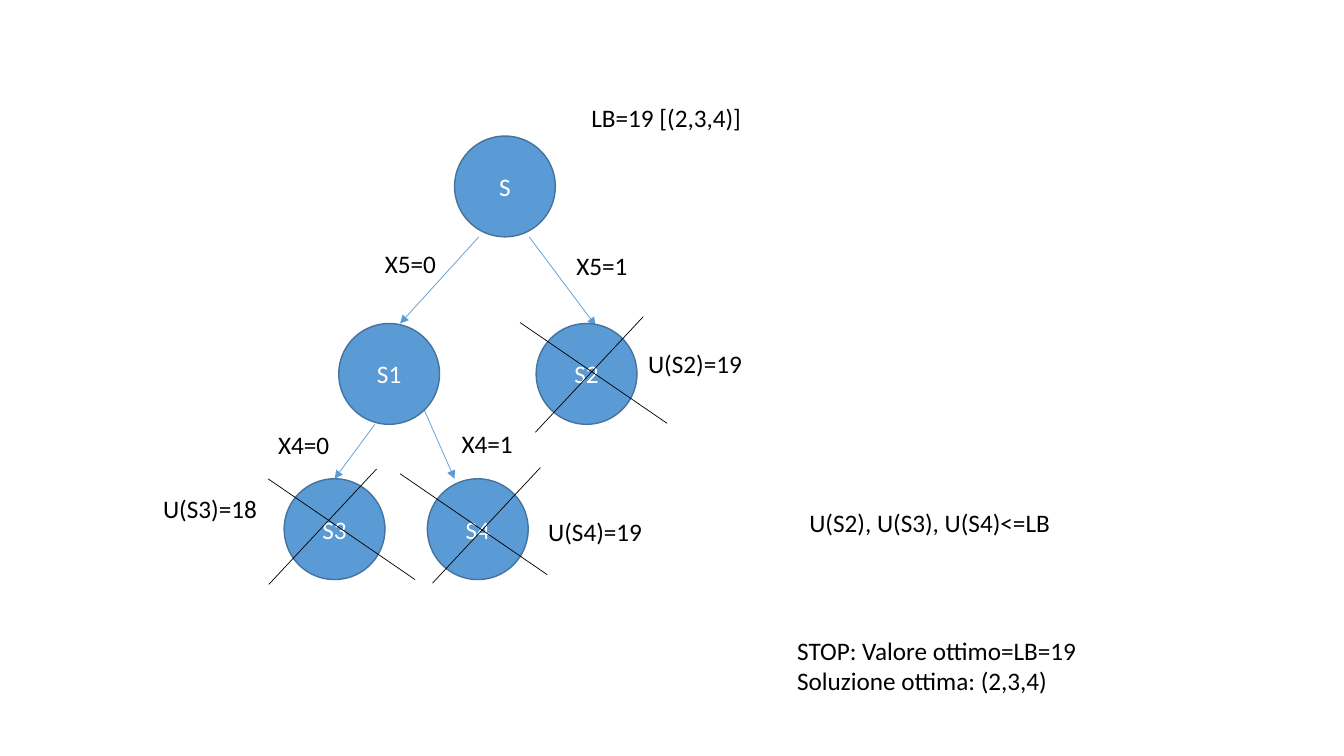
from dataclasses import dataclass

from lxml import etree
from pptx import Presentation
from pptx.dml.color import RGBColor
from pptx.enum import shapes, text
from pptx.oxml import ns
from pptx.util import Pt


@dataclass(frozen=True)
class Theme:
    font: str = "Calibri"
    size: float = 18
    ink: str = "000000"
    node_text: str = "FFFFFF"
    node_fill: str = "5B9BD5"
    node_line: str = "43739E"
    node_width: float = 1
    thin: float = 0.5


THEME = Theme()
NODE_SIZE = 72
LINE_HEIGHT = 22

# Tree nodes: name -> left, top
NODES = {
    "S": (324.7, 97.2),
    "S1": (242, 231.1),
    "S2": (383, 231.1),
    "S3": (203, 342),
    "S4": (305.3, 342),
}

# Branches: start, end
BRANCHES = [
    ((342, 169.2), (285.8, 231.1)),
    ((378, 169.2), (425.5, 232.6)),
    ((267.8, 303.1), (239, 342)),
    ((303.1, 293), (324.7, 342)),
]

# Pruned nodes: start of the falling stroke, start of the rising stroke
CROSSES = [
    ((191.5, 342), (269, 335)),
    ((285.8, 338.4), (386, 334)),
    ((371.5, 230.4), (459.4, 226.3)),
]
FALLING = (105, 72)
RISING = (-77, 82.5)

# Labels: lines, left, top, width
LABELS = [
    ("LB=19 [(2,3,4)]", 415.4, 69.8, 122.4),
    ("X5=0", 267.8, 174.2, 51.8),
    ("X5=1", 404.6, 175.3, 51.8),
    ("X4=0", 191.5, 303.1, 51.8),
    ("X4=1", 322.6, 302.4, 51.8),
    ("U(S2)=19", 455.8, 245.5, 82),
    ("U(S3)=18", 109.4, 348.5, 82),
    ("U(S4)=19", 384.5, 365.4, 82),
    ("U(S2), U(S3), U(S4)<=LB", 571, 358.9, 188.6),
    ("STOP: Valore ottimo=LB=19\nSoluzione ottima: (2,3,4)", 562.3, 450, 216.7),
]


def rgb(color):
    return RGBColor.from_string(color)


def write(tf, content, color=THEME.ink, align=text.PP_ALIGN.LEFT):
    for i, line in enumerate(content.split("\n")):
        p = tf.add_paragraph() if i else tf.paragraphs[0]
        p.alignment = align
        r = p.add_run()
        r.text = line
        r.font.name = THEME.font
        r.font.size = Pt(THEME.size)
        r.font.color.rgb = rgb(color)


def add_node(s, name, left, top):
    sp = s.shapes.add_shape(shapes.MSO_SHAPE.OVAL, Pt(left), Pt(top),
                            Pt(NODE_SIZE), Pt(NODE_SIZE))
    sp.shadow.inherit = False
    sp.fill.solid()
    sp.fill.fore_color.rgb = rgb(THEME.node_fill)
    sp.line.color.rgb = rgb(THEME.node_line)
    sp.line.width = Pt(THEME.node_width)
    sp.text_frame.vertical_anchor = text.MSO_ANCHOR.MIDDLE
    write(sp.text_frame, name, THEME.node_text, text.PP_ALIGN.CENTER)


def add_label(s, content, left, top, width):
    height = 7.2 + LINE_HEIGHT * len(content.split("\n"))
    sp = s.shapes.add_textbox(Pt(left), Pt(top), Pt(width), Pt(height))
    tf = sp.text_frame
    tf.word_wrap = False
    tf.auto_size = text.MSO_AUTO_SIZE.SHAPE_TO_FIT_TEXT
    write(tf, content)


def add_line(s, start, end, color, arrow=False):
    sp = s.shapes.add_connector(shapes.MSO_CONNECTOR.STRAIGHT,
                                *map(Pt, start + end))
    sp.line.color.rgb = rgb(color)
    sp.line.width = Pt(THEME.thin)
    if arrow:
        etree.SubElement(sp.line._get_or_add_ln(), ns.qn("a:tailEnd"),
                         type="triangle")
    etree.SubElement(sp._element.spPr, ns.qn("a:effectLst"))


def add_cross(s, falling_start, rising_start):
    for (x, y), (dx, dy) in ((falling_start, FALLING), (rising_start, RISING)):
        add_line(s, (x, y), (x + dx, y + dy), THEME.ink)


def main():
    prs = Presentation()
    prs.slide_width, prs.slide_height = Pt(960), Pt(540)
    s = prs.slides.add_slide(prs.slide_layouts[6])

    # Branches lie under the nodes
    for start, end in BRANCHES:
        add_line(s, start, end, THEME.node_fill, arrow=True)
    for name, (left, top) in NODES.items():
        add_node(s, name, left, top)

    # Bounds, branch conditions and conclusion
    for label in LABELS:
        add_label(s, *label)

    # Pruned nodes are crossed out
    for cross in CROSSES:
        add_cross(s, *cross)

    prs.save("out.pptx")


if __name__ == "__main__":
    main()
